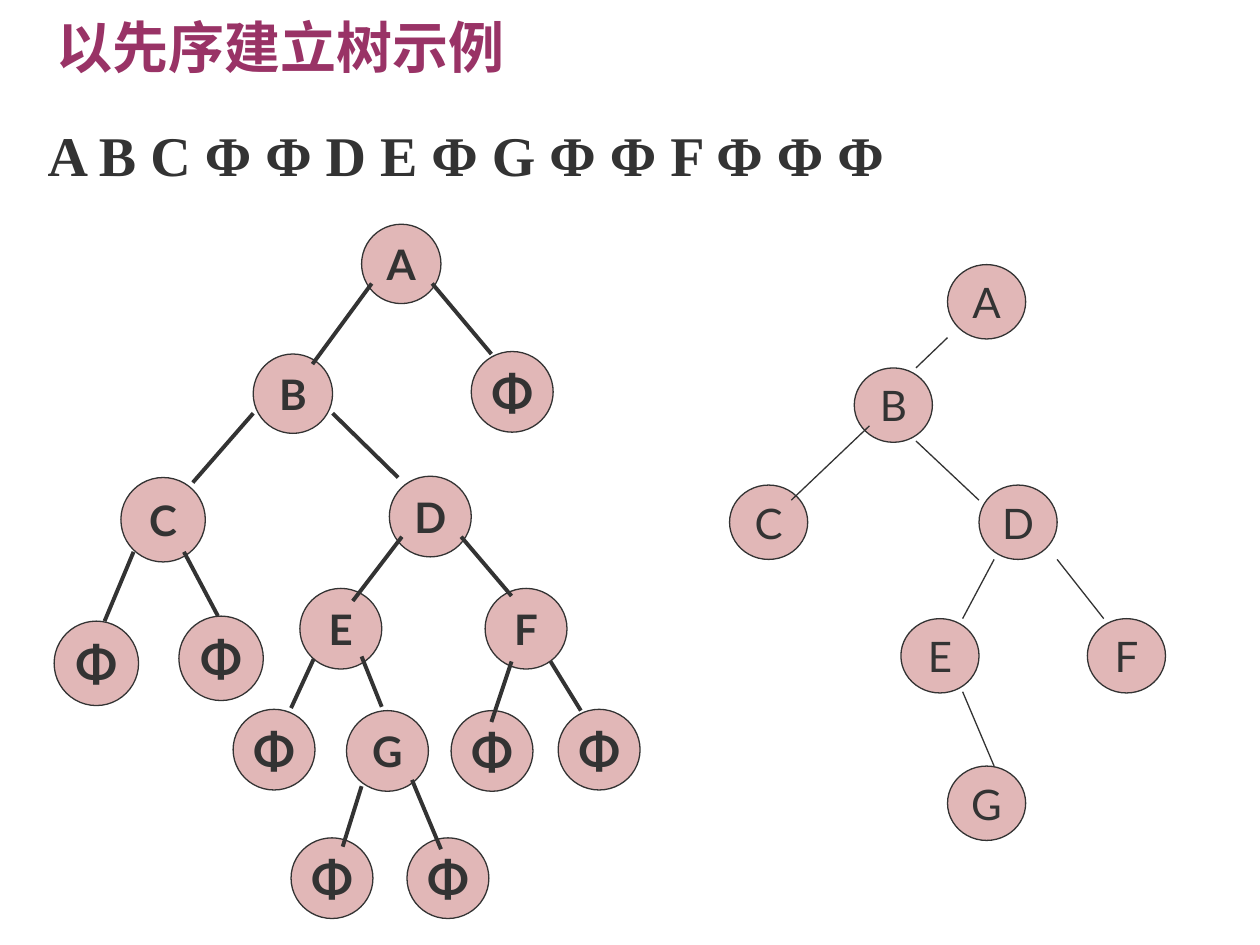
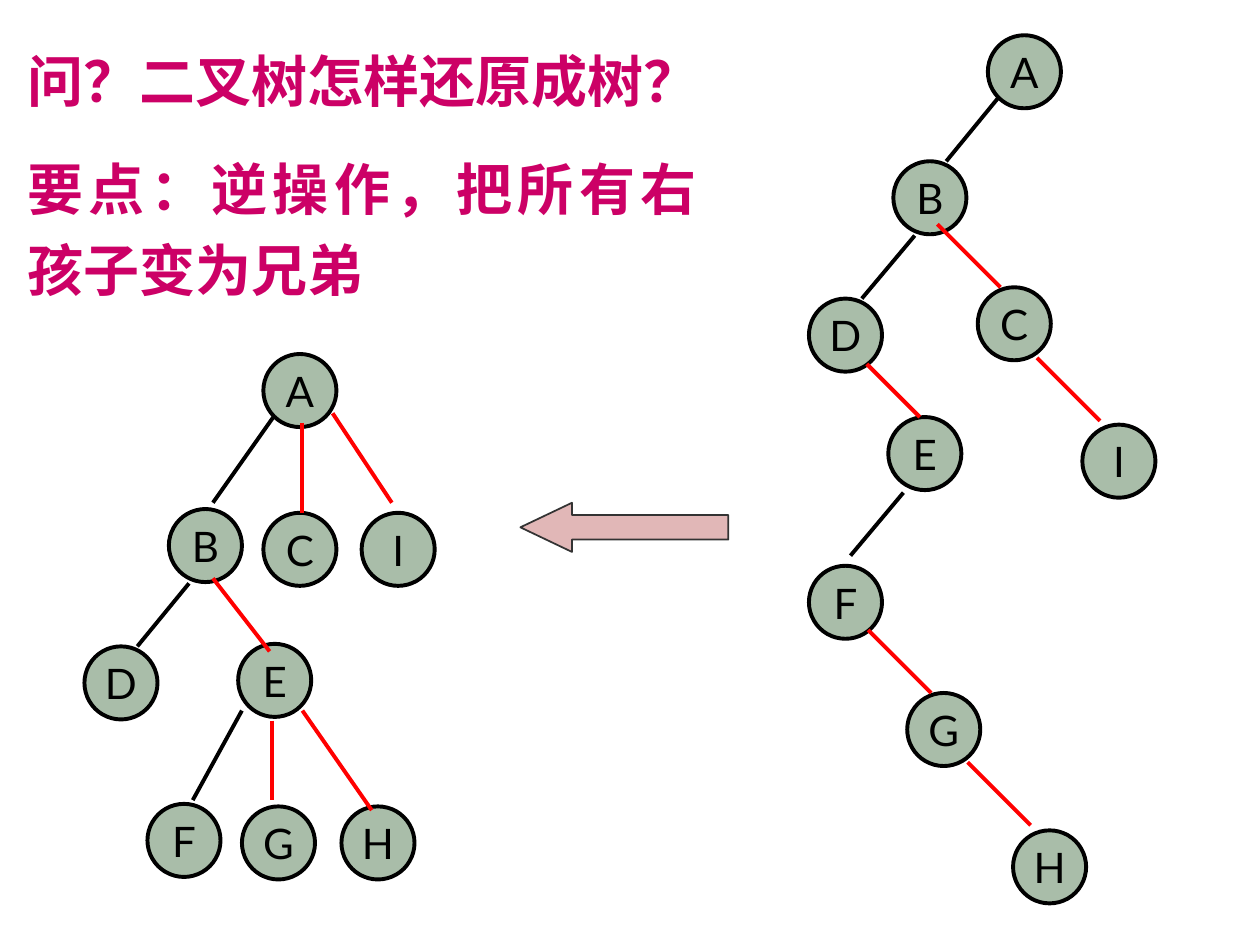
from dataclasses import dataclass, field
from typing import Any

import lxml.etree
import pptx
import pptx.dml.color
import pptx.enum.shapes
import pptx.enum.text
import pptx.oxml.ns
import pptx.util

Inches = pptx.util.Inches
Pt = pptx.util.Pt
qn = pptx.oxml.ns.qn
Align = pptx.enum.text.PP_ALIGN
Preset = pptx.enum.shapes.MSO_SHAPE

SERIF = "Times New Roman"
SANS = "Lato"
INK = "333333"
BLACK = "000000"
RED = "FF0000"
ROSE = "E1B7B7"
SAGE = "A9BDA9"
PLUM = "993366"
MAGENTA = "CC0066"
HEADING_SIZE = 32
LETTER_SIZE = 24
EMPTY_MARK = "Φ"
EMPTY_SIZE = 28


@dataclass(frozen=True)
class TreeStyle:
    fill: str
    ink: str
    outline: float
    edge: float
    bold: bool = False


@dataclass(frozen=True)
class Node:
    label: str
    left: float
    top: float
    width: float
    height: float


@dataclass(frozen=True)
class Edge:
    x1: float
    y1: float
    x2: float
    y2: float


@dataclass(frozen=True)
class Tree:
    style: TreeStyle
    nodes: list[Node]
    edges: list[Edge]
    sibling_edges: list[Edge] = field(default_factory=list)


@dataclass(frozen=True)
class Heading:
    text: str
    left: float
    top: float
    width: float
    height: float
    colour: str
    wrap: bool = True
    align: Any = Align.LEFT
    line_spacing: float = 1.0
    margin_top: float = 0.05


def rgb(colour: str) -> pptx.dml.color.RGBColor:
    return pptx.dml.color.RGBColor.from_string(colour)


def sized(width: float, height: float, *places: tuple) -> list[Node]:
    """Nodes of one size from (label, left, top) places."""
    return [Node(*place, width, height) for place in places]


def edges(*ends: tuple) -> list[Edge]:
    return [Edge(*end) for end in ends]


def format_runs(paragraph, font: str, size: float, colour: str, bold: bool) -> None:
    """Format every run, with Lato as its East Asian font."""
    for run in paragraph.runs:
        run.font.name = font
        run.font.size = Pt(size)
        run.font.bold = bold
        run.font.color.rgb = rgb(colour)
        east_asian = lxml.etree.Element(qn("a:ea"), typeface=SANS)
        run.font._element.find(qn("a:latin")).addnext(east_asian)


def paint(shape, fill: str, outline: str, width: float) -> None:
    shape.shadow.inherit = False
    shape.fill.solid()
    shape.fill.fore_color.rgb = rgb(fill)
    shape.line.color.rgb = rgb(outline)
    shape.line.width = Pt(width)


def draw_heading(slide, heading: Heading) -> None:
    box = slide.shapes.add_textbox(
        Inches(heading.left), Inches(heading.top),
        Inches(heading.width), Inches(heading.height),
    )
    frame = box.text_frame
    frame.text = heading.text
    frame.word_wrap = heading.wrap
    frame.margin_top = Inches(heading.margin_top)
    paragraph = frame.paragraphs[0]
    paragraph.alignment = heading.align
    paragraph.line_spacing = heading.line_spacing
    format_runs(paragraph, SERIF, HEADING_SIZE, heading.colour, True)


def draw_node(shapes, node: Node, style: TreeStyle) -> None:
    circle = shapes.add_shape(
        Preset.OVAL, Inches(node.left), Inches(node.top),
        Inches(node.width), Inches(node.height),
    )
    paint(circle, style.fill, style.ink, style.outline)
    frame = circle.text_frame
    frame.text = node.label
    frame.word_wrap = False
    frame.vertical_anchor = pptx.enum.text.MSO_ANCHOR.MIDDLE
    paragraph = frame.paragraphs[0]
    paragraph.alignment = Align.CENTER
    size = EMPTY_SIZE if node.label == EMPTY_MARK else LETTER_SIZE
    format_runs(paragraph, SANS, size, style.ink, style.bold)


def draw_edge(shapes, edge: Edge, colour: str, width: float) -> None:
    line = shapes.add_connector(
        pptx.enum.shapes.MSO_CONNECTOR.STRAIGHT,
        Inches(edge.x1), Inches(edge.y1), Inches(edge.x2), Inches(edge.y2),
    )
    line.line.color.rgb = rgb(colour)
    line.line.width = Pt(width)
    lxml.etree.SubElement(line._element.spPr, qn("a:effectLst"))


def draw_tree(shapes, tree: Tree) -> None:
    for node in tree.nodes:
        draw_node(shapes, node, tree.style)
    for edge in tree.edges:
        draw_edge(shapes, edge, tree.style.ink, tree.style.edge)
    for edge in tree.sibling_edges:
        draw_edge(shapes, edge, RED, tree.style.edge)


EXTENDED = TreeStyle(ROSE, INK, outline=0.75, edge=2.25, bold=True)
PLAIN = TreeStyle(ROSE, INK, outline=0.75, edge=0.75)
GREEN = TreeStyle(SAGE, BLACK, outline=2.25, edge=2.25)

EXTENDED_TREE = Tree(
    EXTENDED,
    sized(0.63, 0.63, ("A", 2.87, 1.78), ("B", 2.01, 2.81))
    + sized(0.67, 0.67, ("C", 0.96, 3.79),
            (EMPTY_MARK, 0.43, 4.93), (EMPTY_MARK, 1.42, 4.89))
    + sized(0.65, 0.64, ("D", 3.09, 3.78), ("E", 2.38, 4.67),
            (EMPTY_MARK, 1.85, 5.63), ("G", 2.75, 5.64), ("F", 3.85, 4.67),
            (EMPTY_MARK, 4.43, 5.63), (EMPTY_MARK, 3.58, 5.64),
            (EMPTY_MARK, 3.74, 2.79),
            (EMPTY_MARK, 3.23, 6.65), (EMPTY_MARK, 2.31, 6.65)),
    edges(
        (2.95, 2.25, 2.48, 2.89), (3.43, 2.25, 3.9, 2.81),
        (2.01, 3.28, 1.53, 3.83), (2.64, 3.28, 3.16, 3.79),
        (1.06, 4.38, 0.83, 4.93), (1.46, 4.38, 1.73, 4.89),
        (3.19, 4.26, 2.8, 4.77), (3.66, 4.26, 4.06, 4.73),
        (2.49, 5.23, 2.31, 5.62), (2.87, 5.21, 3.03, 5.61),
        (4.06, 5.25, 3.9, 5.73), (4.37, 5.25, 4.61, 5.64),
        (2.87, 6.24, 2.72, 6.72), (3.27, 6.19, 3.5, 6.74),
    ),
)

RESULT_TREE = Tree(
    PLAIN,
    sized(0.62, 0.59, ("A", 7.52, 2.1), ("B", 6.78, 2.92), ("C", 5.79, 3.85),
          ("D", 7.77, 3.85), ("E", 7.15, 4.91), ("G", 7.52, 6.08),
          ("F", 8.63, 4.91)),
    edges(
        (7.52, 2.68, 7.27, 2.92), (6.9, 3.38, 6.28, 3.97),
        (7.89, 4.44, 7.64, 4.91), (8.39, 4.44, 8.76, 4.91),
        (7.27, 3.5, 7.77, 3.97), (7.64, 5.49, 7.89, 6.08),
    ),
)

BINARY_TREE = Tree(
    GREEN,
    sized(0.58, 0.58, ("A", 7.84, 0.28), ("B", 7.09, 1.28), ("E", 7.05, 3.31),
          ("D", 6.42, 2.37), ("C", 7.76, 2.28), ("I", 8.59, 3.37),
          ("F", 6.42, 4.49), ("G", 7.2, 5.5), ("H", 8.04, 6.59)),
    edges((7.92, 0.78, 7.51, 1.28), (7.26, 1.87, 6.84, 2.37),
          (7.17, 3.91, 6.75, 4.41)),
    edges((6.88, 2.89, 7.3, 3.31), (7.44, 1.78, 7.94, 2.28),
          (8.23, 2.84, 8.73, 3.34), (6.89, 5, 7.39, 5.5),
          (7.68, 6.05, 8.18, 6.55)),
)

RESTORED_TREE = Tree(
    GREEN,
    sized(0.58, 0.58, ("A", 2.09, 2.81), ("B", 1.34, 4.04), ("E", 1.89, 5.11),
          ("D", 0.67, 5.13), ("I", 2.87, 4.07), ("C", 2.09, 4.07),
          ("F", 1.17, 6.38), ("G", 1.92, 6.4), ("H", 2.71, 6.4)),
    edges((2.17, 3.31, 1.69, 3.99), (1.5, 4.63, 1.09, 5.13),
          (1.92, 5.64, 1.53, 6.35)),
    edges((1.69, 4.59, 2.14, 5.17), (2.64, 3.28, 3.11, 3.99),
          (2.4, 4.07, 2.4, 3.36), (2.16, 5.72, 2.16, 6.35),
          (2.4, 5.64, 2.95, 6.43)),
)


def build_preorder_slide(slide) -> None:
    draw_heading(slide, Heading("以先序建立树示例", 0.35, 0.05, 3.77, 0.63,
                                PLUM, wrap=False))
    draw_heading(slide, Heading("A B C Φ Φ D E Φ G Φ Φ F Φ Φ Φ",
                                0.28, 0.92, 8.5, 0.54, INK,
                                line_spacing=0.9, margin_top=0.1))
    draw_tree(slide.shapes, EXTENDED_TREE)
    draw_tree(slide.shapes.add_group_shape().shapes, RESULT_TREE)


def build_restore_slide(slide) -> None:
    question = Heading("问？二叉树怎样还原成树？", 0.12, 0.21, 6.22, 0.74,
                       MAGENTA, align=Align.JUSTIFY, line_spacing=1.2)
    key_point = Heading("要点：逆操作，把所有右孩子变为兄弟", 0.12, 1.07, 5.51, 1.38,
                        MAGENTA, align=Align.JUSTIFY, line_spacing=1.2)
    for heading in (question, key_point):
        draw_heading(slide, heading)
    for tree in (BINARY_TREE, RESTORED_TREE):
        draw_tree(slide.shapes.add_group_shape().shapes, tree)
    restore_arrow = slide.shapes.add_shape(
        Preset.LEFT_ARROW, Inches(4.13), Inches(3.99), Inches(1.65), Inches(0.39)
    )
    restore_arrow.adjustments[0] = 0.5
    restore_arrow.adjustments[1] = 1.05
    paint(restore_arrow, ROSE, INK, 1)


def main() -> None:
    deck = pptx.Presentation()
    deck.slide_width = Inches(10)
    deck.slide_height = Inches(7.5)
    blank = deck.slide_layouts[6]
    for build in (build_preorder_slide, build_restore_slide):
        build(deck.slides.add_slide(blank))
    deck.save("out.pptx")


if __name__ == "__main__":
    main()
